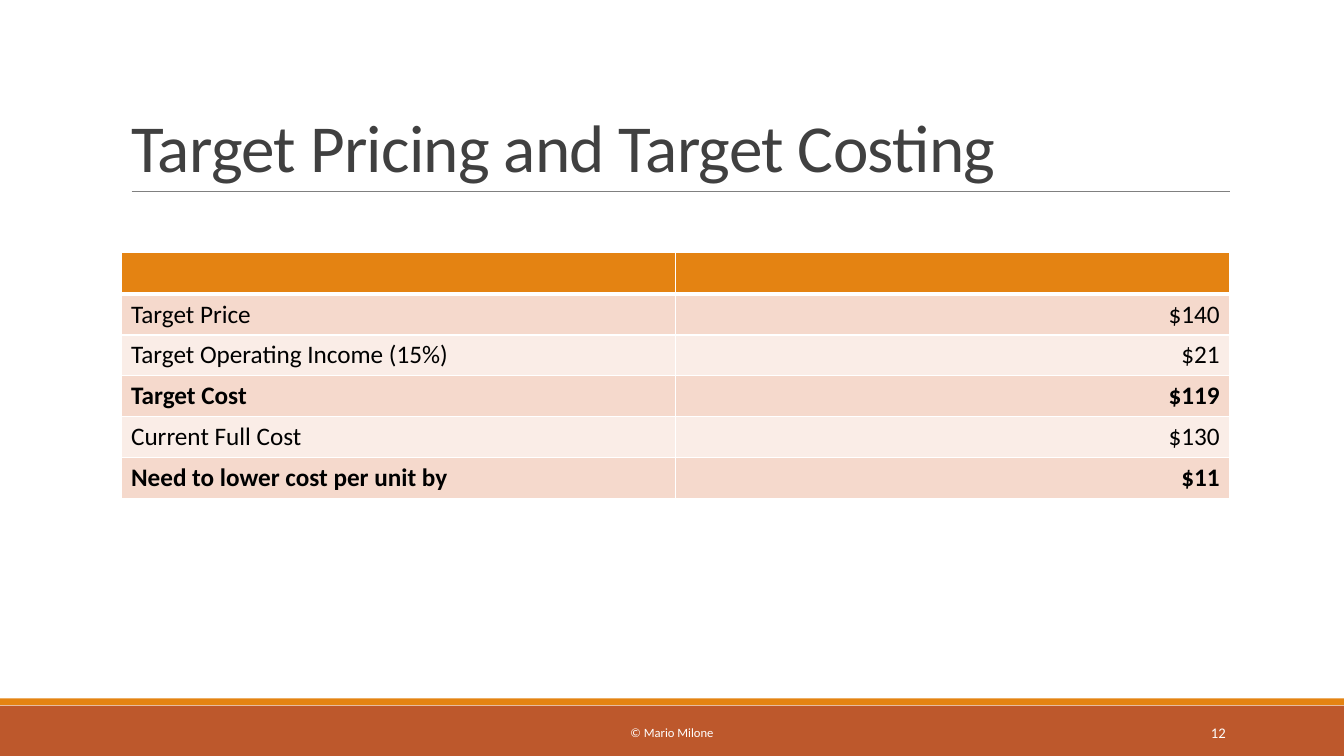
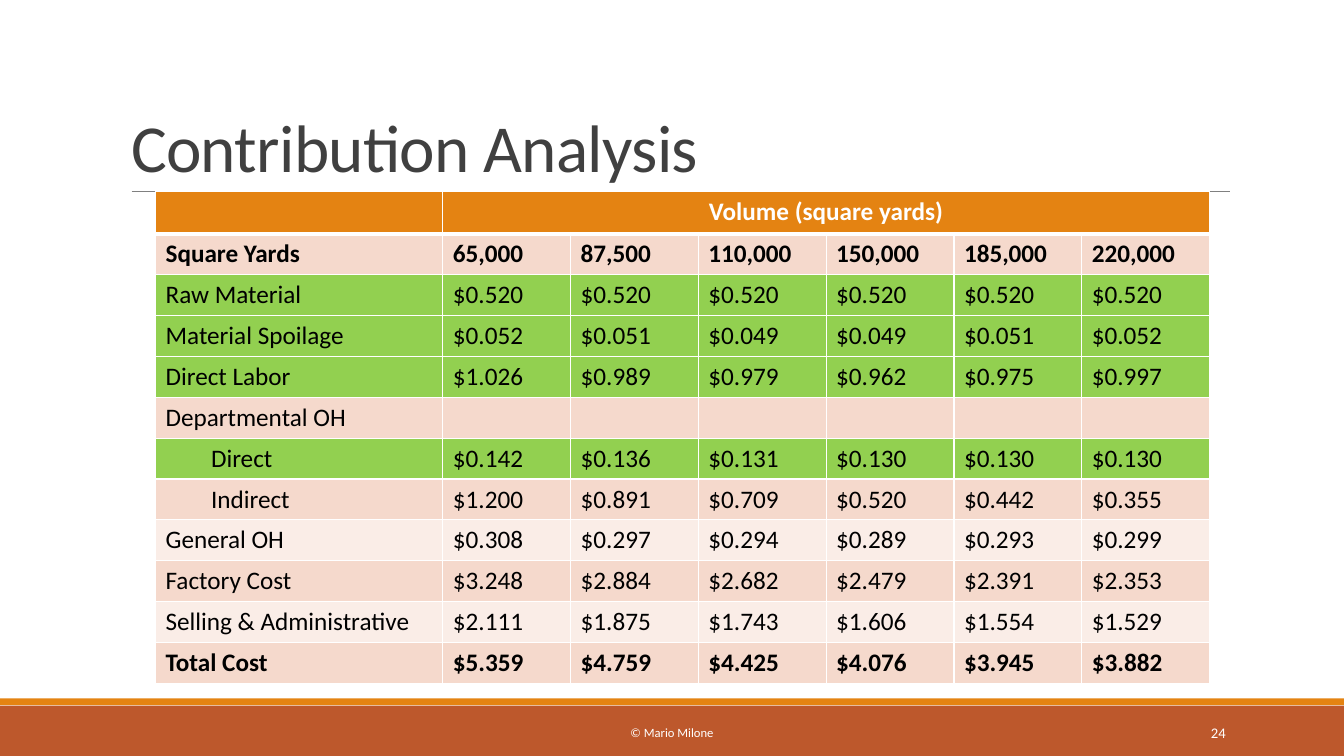
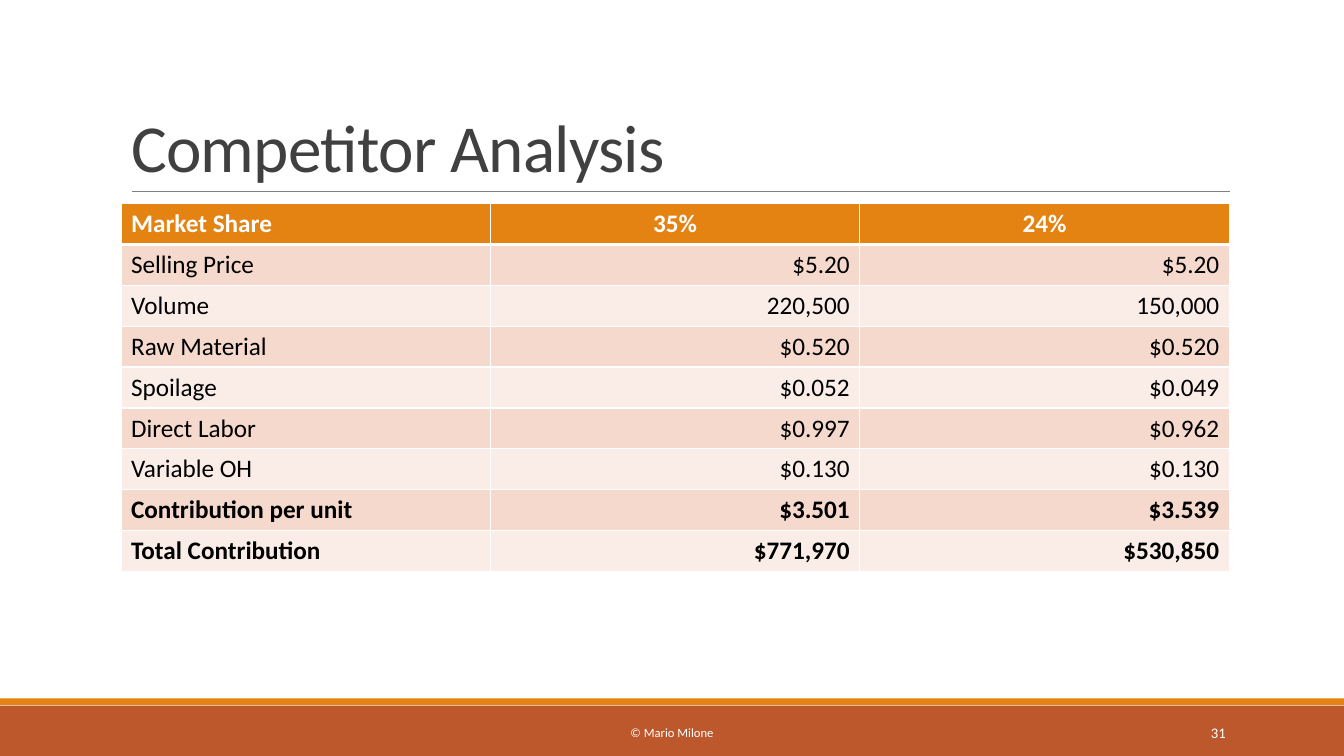
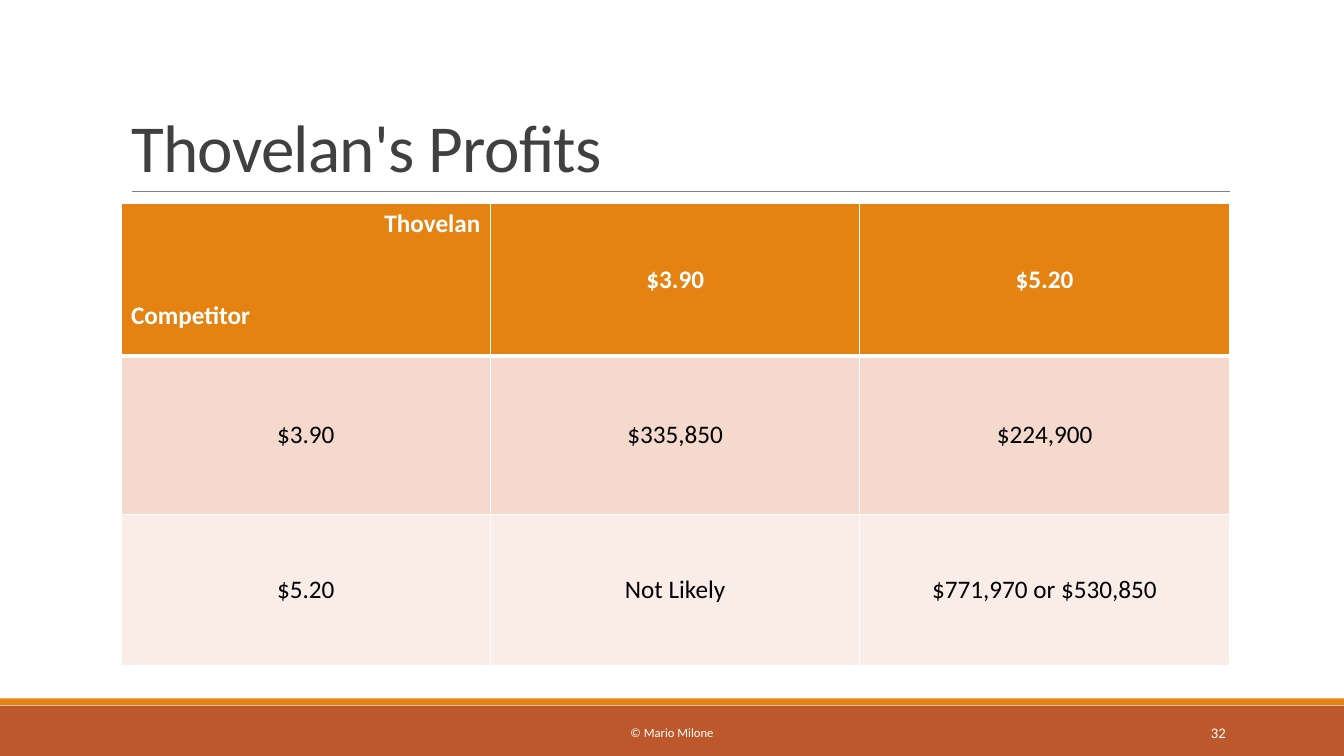
from lxml import etree
from pptx import Presentation
from pptx import util as u
from pptx.dml.color import RGBColor
from pptx.enum import shapes, text
from pptx.oxml import ns

ORANGE, RUST, GREEN = "E48312", "BD582C", "92D050"
DARK_BAND, LIGHT_BAND = "F5D9CC", "FAEDE7"
WHITE, BLACK, TITLE_GREY, RULE_GREY = "FFFFFF", "000000", "404040", "808080"
FONT = "Calibri"

WIDTH, HEIGHT = 33.87, 19.05
TITLE_BOX = (3.05, 0.79, 27.94, 4.04)
FOOTER_BOX = (0, 17.6, WIDTH, 1.45)
TABLE_LEFT, TABLE_WIDTH = 3.05, 27.94
HEADER_HEIGHT, ROW_HEIGHT = 1.06, 1.03

ALIGNMENTS = {
    "l": text.PP_ALIGN.LEFT,
    "c": text.PP_ALIGN.CENTER,
    "r": text.PP_ALIGN.RIGHT,
}


def color(hex_string):
    return RGBColor.from_string(hex_string)


def apply_format(target, values):
    for name, value in values.items():
        setattr(target, name, value)


def place(shape, left, top, width, height):
    apply_format(shape, {
        "left": u.Cm(left), "top": u.Cm(top),
        "width": u.Cm(width), "height": u.Cm(height),
    })


def style_text(paragraph, size, hex_string, bold=False, align="l"):
    paragraph.alignment = ALIGNMENTS[align]
    for run in paragraph.runs:
        apply_format(run.font, {"name": FONT, "size": u.Pt(size), "bold": bold})
        run.font.color.rgb = color(hex_string)


def add_band(slide, hex_string, left, top, width, height):
    band = slide.shapes.add_shape(
        shapes.MSO_SHAPE.RECTANGLE,
        u.Cm(left), u.Cm(top), u.Cm(width), u.Cm(height))
    band.shadow.inherit = False
    band.fill.solid()
    band.fill.fore_color.rgb = color(hex_string)
    band.line.fill.background()


def add_label(slide, words, size, align, left, top, width, height):
    label = slide.shapes.add_textbox(
        u.Cm(left), u.Cm(top), u.Cm(width), u.Cm(height))
    frame = label.text_frame
    apply_format(frame, {
        "text": words, "word_wrap": True,
        "vertical_anchor": text.MSO_ANCHOR.MIDDLE,
    })
    style_text(frame.paragraphs[0], size, WHITE, align=align)


def add_footer(slide, number, left, top, width, height):
    stripe = 0.18
    add_band(slide, RUST, left, top + stripe, width, height - stripe)
    add_band(slide, ORANGE, left, top, width, stripe - 0.01)
    label_top, label_height = top + 0.35, 1.02
    add_label(slide, "© Mario Milone", 9, "c",
              left + 10.24, label_top, 13.39, label_height)
    add_label(slide, str(number), 10.5, "r",
              left + 27.51, label_top, 3.63, label_height)


def add_title(slide, words, left, top, width, height):
    title = slide.shapes.title
    place(title, left, top, width, height)
    frame = title.text_frame
    apply_format(frame, {
        "text": words, "word_wrap": True,
        "auto_size": text.MSO_AUTO_SIZE.NONE,
        "vertical_anchor": text.MSO_ANCHOR.BOTTOM,
    })
    paragraph = frame.paragraphs[0]
    paragraph.line_spacing = 0.85
    style_text(paragraph, 48, TITLE_GREY)
    for run in paragraph.runs:
        run.font._element.set("spc", "-50")

    bottom = u.Cm(top + height)
    rule = slide.shapes.add_connector(
        shapes.MSO_CONNECTOR.STRAIGHT,
        u.Cm(left + 0.27), bottom, u.Cm(left + width), bottom)
    rule.line.color.rgb = color(RULE_GREY)
    rule.line.width = u.Pt(0.5)
    etree.SubElement(rule._element.spPr, ns.qn("a:effectLst"))


def set_borders(cell, row):
    properties = cell._tc.get_or_add_tcPr()
    widths = {"lnL": 1, "lnR": 1, "lnT": 3 if row == 1 else 1,
              "lnB": 3 if row == 0 else 1}
    for side, width in widths.items():
        line = etree.SubElement(properties, ns.qn("a:" + side), w=str(u.Pt(width)))
        fill = etree.SubElement(line, ns.qn("a:solidFill"))
        etree.SubElement(fill, ns.qn("a:srgbClr"), val=WHITE)


def row_fill(row, green_rows):
    if row == 0:
        return ORANGE
    if row in green_rows:
        return GREEN
    return DARK_BAND if row % 2 else LIGHT_BAND


def add_table(slide, rows, left, top, widths, heights, header_align, body_align,
              bold_rows=(), green_rows=(), anchor=text.MSO_ANCHOR.TOP):
    frame = slide.shapes.add_table(
        len(rows), len(widths), u.Cm(left), u.Cm(top),
        u.Cm(sum(widths)), u.Cm(sum(heights)))
    table = frame.table
    for column, width in zip(table.columns, widths):
        column.width = u.Cm(width)
    for row, (values, height) in enumerate(zip(rows, heights)):
        table.rows[row].height = u.Cm(height)
        aligns = body_align if row else header_align
        for column in range(len(widths)):
            cell = table.cell(row, column)
            set_borders(cell, row)
            cell.fill.solid()
            cell.fill.fore_color.rgb = color(row_fill(row, green_rows))
            cell.vertical_anchor = anchor
            if column < len(values):
                cell.text = values[column]
                for paragraph in cell.text_frame.paragraphs:
                    style_text(paragraph, 18, BLACK if row else WHITE,
                               row == 0 or row in bold_rows, aligns[column])
    return table


def row_heights(count, header=HEADER_HEIGHT):
    return [header] + [ROW_HEIGHT] * (count - 1)


def equal_widths(count):
    return [round(TABLE_WIDTH / count, 2)] * count


def add_target_costing(slide):
    rows = [
        ("", ""),
        ("Target Price", "$140"),
        ("Target Operating Income (15%)", "$21"),
        ("Target Cost", "$119"),
        ("Current Full Cost", "$130"),
        ("Need to lower cost per unit by", "$11"),
    ]
    add_table(slide, rows, TABLE_LEFT, 6.35, equal_widths(2),
              row_heights(len(rows)), "ll", "lr", bold_rows=(3, 5))


def add_contribution(slide):
    rows = [
        ("", "Volume (square yards)"),
        ("Square Yards", "65,000", "87,500", "110,000", "150,000", "185,000", "220,000"),
        ("Raw Material", *["$0.520"] * 6),
        ("Material Spoilage", "$0.052", "$0.051", "$0.049", "$0.049", "$0.051", "$0.052"),
        ("Direct Labor", "$1.026", "$0.989", "$0.979", "$0.962", "$0.975", "$0.997"),
        ("Departmental OH",),
        ("Direct", "$0.142", "$0.136", "$0.131", "$0.130", "$0.130", "$0.130"),
        ("Indirect", "$1.200", "$0.891", "$0.709", "$0.520", "$0.442", "$0.355"),
        ("General OH", "$0.308", "$0.297", "$0.294", "$0.289", "$0.293", "$0.299"),
        ("Factory Cost", "$3.248", "$2.884", "$2.682", "$2.479", "$2.391", "$2.353"),
        ("Selling & Administrative", "$2.111", "$1.875", "$1.743", "$1.606", "$1.554", "$1.529"),
        ("Total Cost", "$5.359", "$4.759", "$4.425", "$4.076", "$3.945", "$3.882"),
    ]
    table = add_table(slide, rows, 3.92, 4.83, [7.24] + [3.22] * 6,
                      row_heights(len(rows)), "lc", "l" * 7,
                      bold_rows=(1, 11), green_rows=(2, 3, 4, 6))
    table.cell(0, 1).merge(table.cell(0, 6))
    for row in (6, 7):
        table.cell(row, 0).margin_left = u.Cm(1.4)


def add_competitor(slide):
    rows = [
        ("Market Share", "35%", "24%"),
        ("Selling Price", "$5.20", "$5.20"),
        ("Volume", "220,500", "150,000"),
        ("Raw Material", "$0.520", "$0.520"),
        ("Spoilage", "$0.052", "$0.049"),
        ("Direct Labor", "$0.997", "$0.962"),
        ("Variable OH", "$0.130", "$0.130"),
        ("Contribution per unit", "$3.501", "$3.539"),
        ("Total Contribution", "$771,970", "$530,850"),
    ]
    add_table(slide, rows, TABLE_LEFT, 5.13, equal_widths(3),
              row_heights(len(rows), ROW_HEIGHT), "lcc", "lrr", bold_rows=(7, 8))


def add_profits(slide):
    rows = [
        ("Thovelan\nCompetitor", "$3.90", "$5.20"),
        ("$3.90", "$335,850", "$224,900"),
        ("$5.20", "Not Likely", "$771,970 or $530,850"),
    ]
    table = add_table(slide, rows, TABLE_LEFT, 5.13, equal_widths(3),
                      [3.84, 3.99, 3.81], "lcc", "ccc",
                      anchor=text.MSO_ANCHOR.MIDDLE)
    corner = table.cell(0, 0)
    corner.vertical_anchor = text.MSO_ANCHOR.TOP
    column_heading, row_heading = corner.text_frame.paragraphs
    column_heading.alignment = ALIGNMENTS["r"]
    row_heading.space_before = u.Pt(44)


SLIDES = [
    ("Target Pricing and Target Costing", 12, add_target_costing),
    ("Contribution Analysis", 24, add_contribution),
    ("Competitor Analysis", 31, add_competitor),
    ("Thovelan's Profits", 32, add_profits),
]


def main():
    presentation = Presentation()
    apply_format(presentation, {
        "slide_width": u.Cm(WIDTH), "slide_height": u.Cm(HEIGHT),
    })
    title_only = presentation.slide_layouts[5]
    for title, number, add_content in SLIDES:
        slide = presentation.slides.add_slide(title_only)
        add_footer(slide, number, *FOOTER_BOX)
        add_title(slide, title, *TITLE_BOX)
        add_content(slide)
    presentation.save("out.pptx")


if __name__ == "__main__":
    main()
